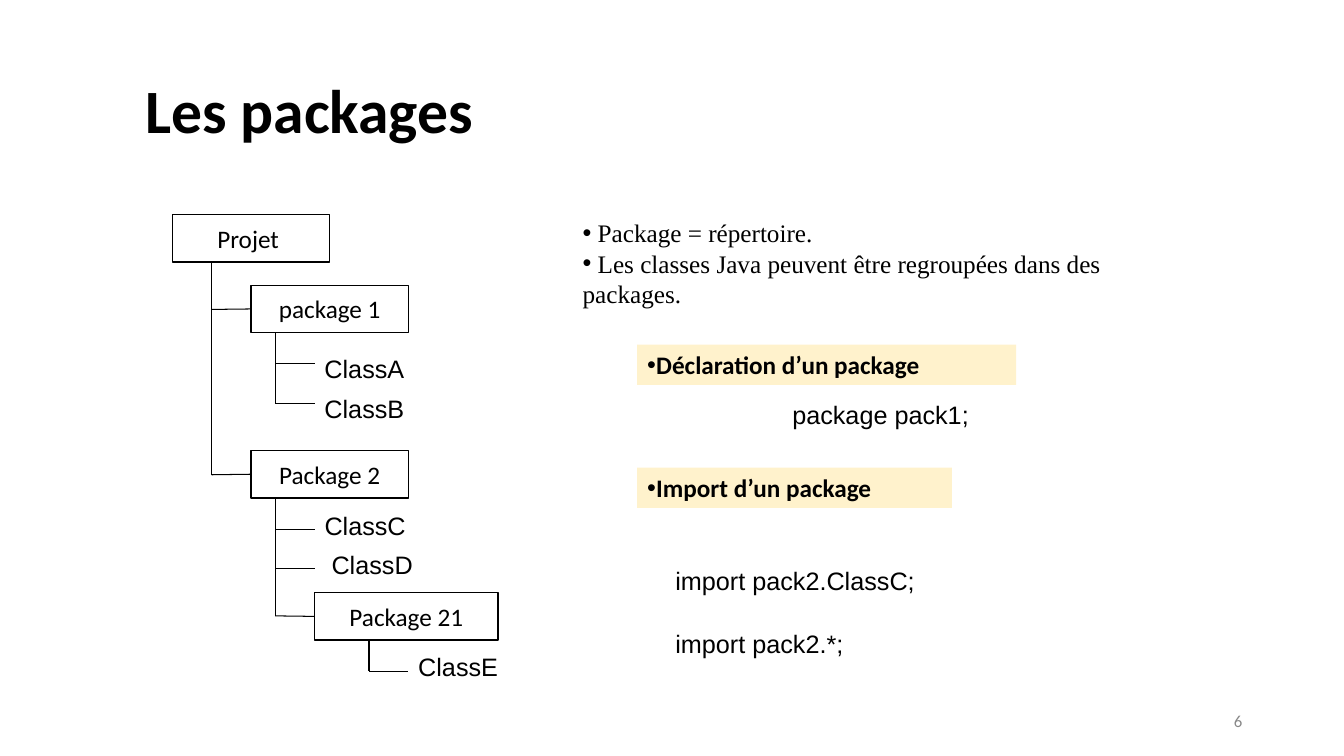
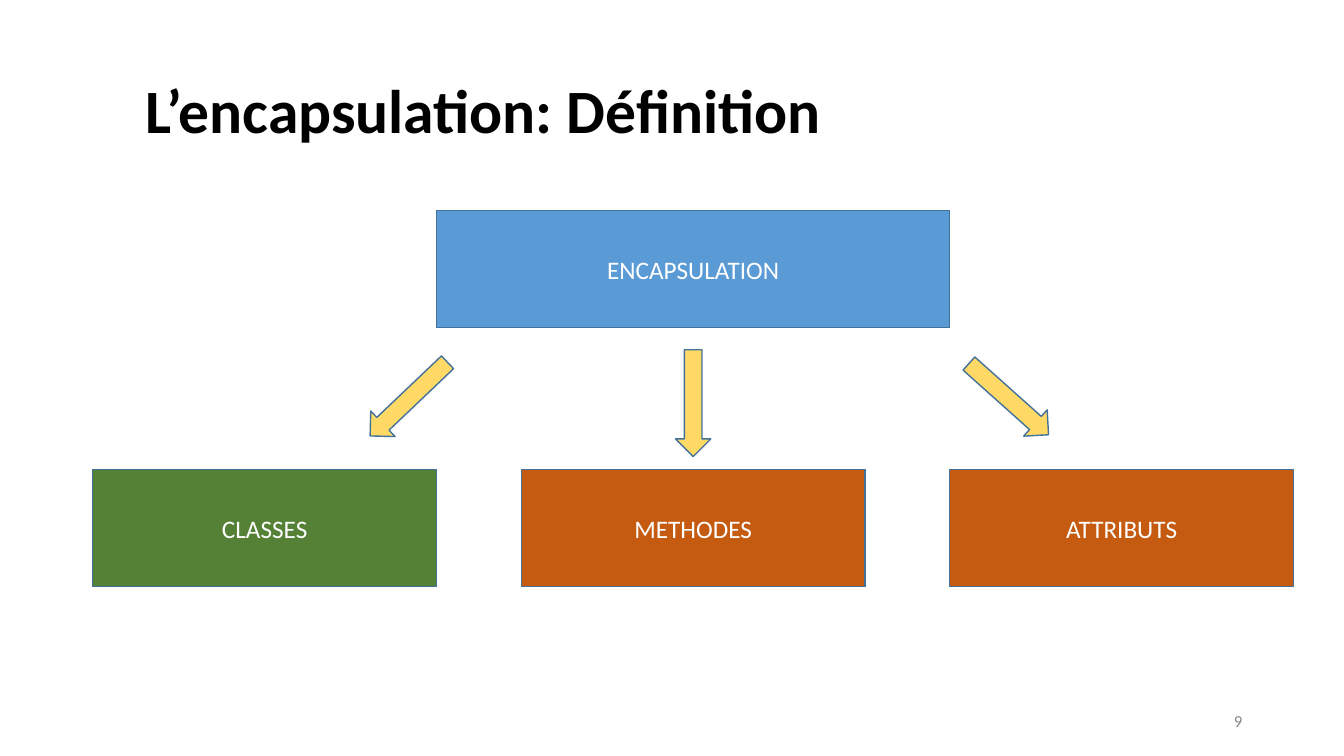
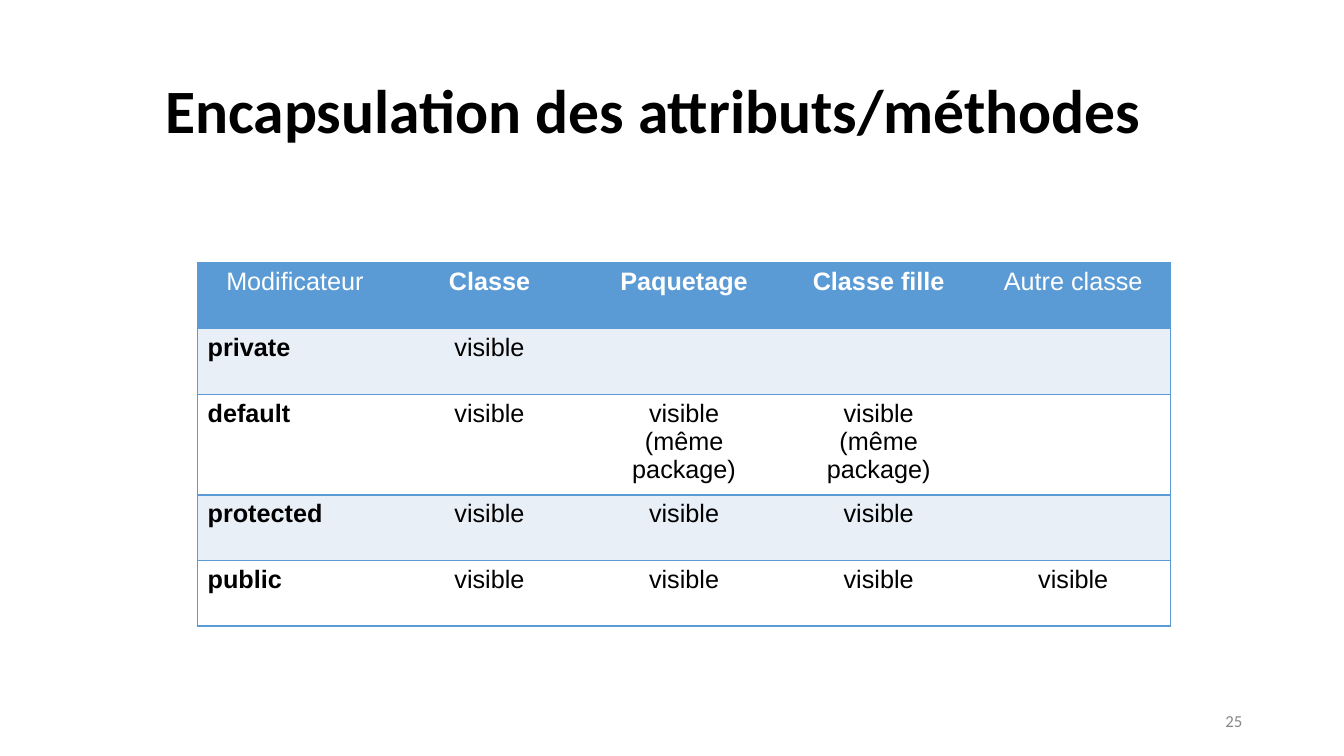
import pptx
import pptx.util
import pptx.dml.color
import pptx.enum.shapes
import pptx.enum.text
import pptx.oxml
import pptx.oxml.ns
import lxml.etree

Inches = pptx.util.Inches
Pt = pptx.util.Pt
Color = pptx.dml.color.RGBColor.from_string
Align = pptx.enum.text.PP_ALIGN
Anchor = pptx.enum.text.MSO_ANCHOR
Shape = pptx.enum.shapes.MSO_SHAPE
qn = pptx.oxml.ns.qn


class Theme:
    black = "000000"
    white = "FFFFFF"
    grey = "888888"
    blue = "5B9BD5"
    dark_blue = "42719B"
    pale_blue = "E9EFF7"
    green = "548135"
    orange = "C55A11"
    gold = "FFD966"
    cream = "FFF2CC"
    heading_font = "Calibri"
    code_font = "Arial"
    prose_font = "Times New Roman"
    title_size = 44
    body_size = 18
    number_size = 12


def write(frame, text, font=Theme.heading_font, size=Theme.body_size,
          color=Theme.black, bold=False, align=Align.LEFT):
    frame.text = text
    for paragraph in frame.paragraphs:
        paragraph.alignment = align
        formats = {"name": font, "size": Pt(size), "bold": bold}
        for run in paragraph.runs:
            for key, value in formats.items():
                setattr(run.font, key, value)
            run.font.color.rgb = Color(color)


def add_block(slide, place, text="", fill=None, outline=None, kind=Shape.RECTANGLE,
              anchor=Anchor.MIDDLE, wrap=True, **text_format):
    lengths = [Inches(value) for value in place]
    if fill:
        block = slide.shapes.add_shape(kind, *lengths)
        block.shadow.inherit = False
        block.fill.solid()
        block.fill.fore_color.rgb = Color(fill)
        if outline:
            block.line.color.rgb = Color(outline)
            block.line.width = Pt(1)
        else:
            block.line.fill.background()
    else:
        block = slide.shapes.add_textbox(*lengths)
    block.text_frame.word_wrap = wrap
    block.text_frame.vertical_anchor = anchor
    if text:
        write(block.text_frame, text, **text_format)
    return block


presentation = pptx.Presentation()
presentation.slide_width = Inches(13.33)
presentation.slide_height = Inches(7.5)

slides = []
for heading, number, left, inset in [
    ("Les packages", "6", 0.92, 0.52),
    ("L’encapsulation: Définition", "9", 0.92, 0.52),
    ("Encapsulation des attributs/méthodes", "25", 1.54, 0.1),
]:
    slide = presentation.slides.add_slide(presentation.slide_layouts[5])
    title = slide.shapes.title
    bounds = {"left": left, "top": 0.4, "width": 11.5, "height": 1.45}
    for key, value in bounds.items():
        setattr(title, key, Inches(value))
    write(title.text_frame, heading, size=Theme.title_size, bold=True)
    title.text_frame.margin_left = Inches(inset)
    title.text_frame.vertical_anchor = Anchor.MIDDLE
    title.text_frame.paragraphs[0].line_spacing = 0.9
    add_block(slide, (9.42, 6.95, 3, 0.4), number, size=Theme.number_size,
              color=Theme.grey, align=Align.RIGHT)
    slides.append(slide)
packages_slide, definition_slide, visibility_slide = slides

folder_height = 0.47
folders = {}
for name, left, top, width in [
    ("Projet ", 1.71, 2.13, 1.56),
    ("package 1", 2.49, 2.83, 1.56),
    ("Package 2", 2.49, 4.47, 1.56),
    ("Package 21", 3.12, 5.88, 1.82),
]:
    folders[name] = add_block(
        packages_slide, (left, top, width, folder_height), name,
        fill=Theme.white, outline=Theme.black, align=Align.CENTER)

for code, left, top, width in [
    ("ClassA", 3.12, 3.46, 1),
    ("ClassB", 3.12, 3.85, 1),
    ("ClassC", 3.12, 5.01, 1.02),
    ("ClassD", 3.19, 5.4, 1.02),
    ("ClassE", 4.05, 6.41, 1),
    ("package pack1;", 7.76, 3.91, 1.97),
    ("import pack2.ClassC;", 6.6, 5.56, 2.6),
    ("import pack2.*;", 6.6, 6.18, 1.89),
]:
    add_block(packages_slide, (left, top, width, 0.4), code, font=Theme.code_font,
              anchor=Anchor.TOP, wrap=False)

branch_length = 0.39
segments = []
for trunk, top, branches in [
    (2.1, 2.6, [(3.07, "package 1"), (4.71, "Package 2")]),
    (2.73, 3.3, [(3.61, None), (4, None)]),
    (2.73, 4.94, [(5.25, None), (5.64, None), (6.11, "Package 21")]),
    (3.66, 6.35, [(6.66, None)]),
]:
    segments.append((trunk, top, trunk, branches[-1][0], None))
    for height, folder in branches:
        segments.append((trunk, height, trunk + branch_length, height, folder))

for *ends, folder in segments:
    branch = packages_slide.shapes.add_connector(
        pptx.enum.shapes.MSO_CONNECTOR.STRAIGHT, *[Inches(end) for end in ends])
    branch.line.color.rgb = Color(Theme.black)
    branch.line.width = Pt(0.75)
    lxml.etree.SubElement(branch._element.spPr, qn("a:effectLst"))
    if folder:
        branch.end_connect(folders[folder], 1)

facts = add_block(
    packages_slide, (5.68, 2.11, 6.32, 1.01),
    " Package = répertoire.\n Les classes Java peuvent être regroupées dans des packages.",
    font=Theme.prose_font, anchor=Anchor.TOP)
declaration = add_block(packages_slide, (6.32, 3.42, 3.76, 0.4),
                        "Déclaration d’un package", fill=Theme.cream, bold=True)
importation = add_block(packages_slide, (6.32, 4.64, 3.12, 0.4),
                        "Import d’un package", fill=Theme.cream, bold=True)
for block, indent in [(facts, 0), (declaration, 0.09), (importation, 0.09)]:
    for paragraph in block.text_frame.paragraphs:
        properties = paragraph._p.get_or_add_pPr()
        properties.set("marL", str(Inches(indent)))
        properties.set("indent", str(-Inches(indent)))
        lxml.etree.SubElement(properties, qn("a:buFont")).set("typeface", "Arial")
        lxml.etree.SubElement(properties, qn("a:buChar")).set("char", "•")

concept_format = {"outline": Theme.dark_blue, "color": Theme.white, "align": Align.CENTER}
add_block(definition_slide, (4.33, 2.09, 5.09, 1.16), "ENCAPSULATION",
          fill=Theme.blue, **concept_format)
for column, (member, fill) in enumerate([
    ("CLASSES", Theme.green), ("METHODES", Theme.orange), ("ATTRIBUTS", Theme.orange),
]):
    add_block(definition_slide, (0.92 + 4.25 * column, 4.66, 3.41, 1.16), member,
              fill=fill, **concept_format)
for left, top, rotation in [(3.88, 3.43, 46.4), (6.7, 3.47, 0), (9.83, 3.43, 311.8)]:
    arrow = add_block(definition_slide, (left, top, 0.35, 1.06), fill=Theme.gold,
                      outline=Theme.dark_blue, kind=Shape.DOWN_ARROW)
    arrow.rotation = rotation

same_package = "visible\n(même package)"
visibility = [
    ["Modificateur", "Classe", "Paquetage", "Classe fille", "Autre classe"],
    ["private", "visible", "", "", ""],
    ["default", "visible", same_package, same_package, ""],
    ["protected", "visible", "visible", "visible", ""],
    ["public", "visible", "visible", "visible", "visible"],
]
row_height, column_width = 0.65, 1.93
last_column = len(visibility[0]) - 1
grid = visibility_slide.shapes.add_table(
    len(visibility), last_column + 1, Inches(1.96), Inches(2.61),
    Inches(column_width * (last_column + 1)), Inches(row_height * len(visibility)))
table = grid.table
table.horz_banding = False
table._tbl.tblPr.find(qn("a:tableStyleId")).text = "{2D5ABB26-0587-4C30-8999-92F81FD0307C}"
for row, values in enumerate(visibility):
    table.rows[row].height = Inches(row_height)
    for column, value in enumerate(values):
        cell = table.cell(row, column)
        header = row == 0
        bold = 0 < column < last_column if header else column == 0
        write(cell.text_frame, value, font=Theme.code_font, bold=bold,
              color=Theme.white if header else Theme.black,
              align=Align.CENTER if header or column else Align.LEFT)
        borders = {"a:lnL": column == 0, "a:lnR": column == last_column,
                   "a:lnT": True, "a:lnB": True}
        for side, visible in borders.items():
            if visible:
                border = lxml.etree.SubElement(
                    cell._tc.get_or_add_tcPr(), qn(side), w=str(Pt(1)))
                solid = lxml.etree.SubElement(border, qn("a:solidFill"))
                lxml.etree.SubElement(solid, qn("a:srgbClr"), val=Theme.blue)
        cell.fill.solid()
        cell.fill.fore_color.rgb = Color(
            Theme.blue if header else Theme.pale_blue if row % 2 else Theme.white)

presentation.save("out.pptx")
